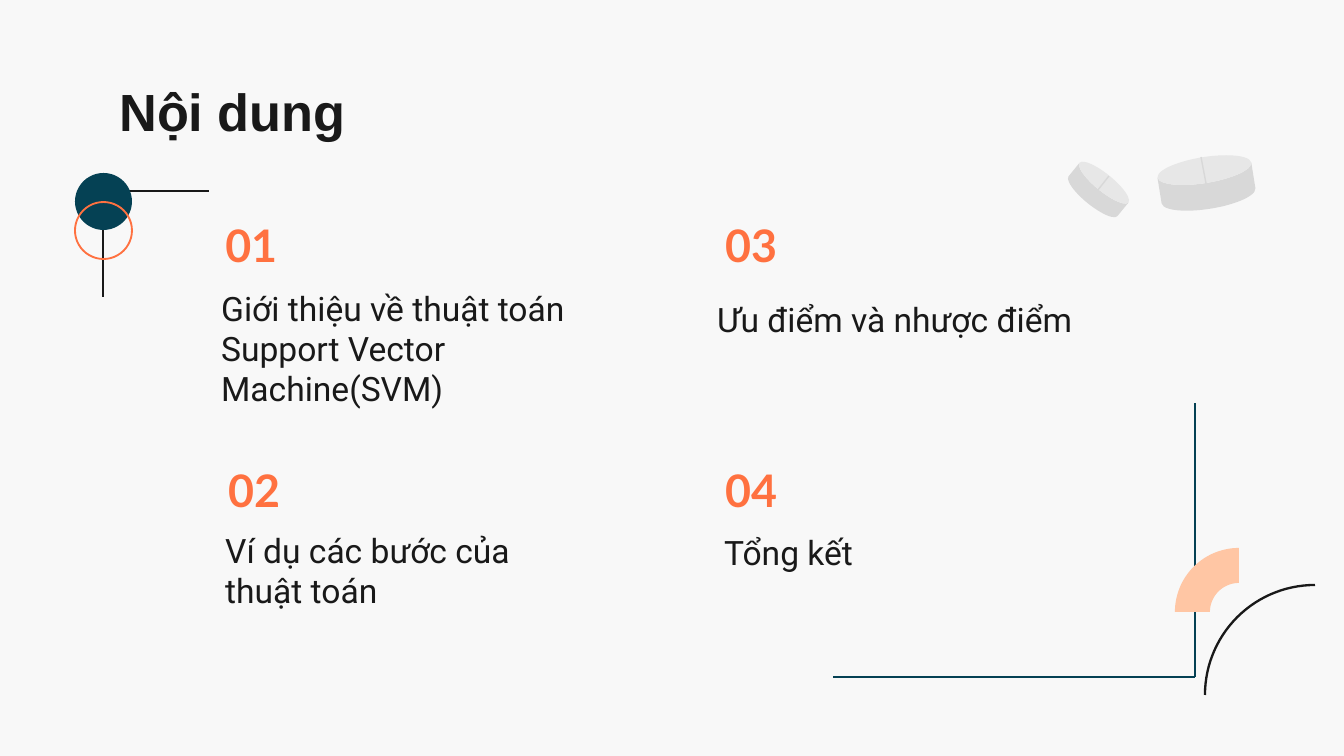
from math import cos, radians, sin

from pptx import Presentation
from pptx.dml.color import RGBColor
from pptx.enum.shapes import MSO_CONNECTOR, MSO_SHAPE
from pptx.enum.text import MSO_ANCHOR, MSO_AUTO_SIZE, PP_ALIGN
from pptx.oxml.ns import qn
from pptx.util import Inches, Pt
from lxml import etree

STRAIGHT = MSO_CONNECTOR.STRAIGHT
OVAL, CAN = MSO_SHAPE.OVAL, MSO_SHAPE.CAN
TOP, MIDDLE = MSO_ANCHOR.TOP, MSO_ANCHOR.MIDDLE

PAPER = RGBColor(0xF8, 0xF8, 0xF8)
INK = RGBColor(0x19, 0x19, 0x19)
TEAL = RGBColor(0x05, 0x41, 0x54)
ORANGE = RGBColor(0xFF, 0x71, 0x40)
PEACH = RGBColor(0xFF, 0xC6, 0xA4)
GREY = RGBColor(0xD8, 0xD8, 0xD8)

SLIDE_WIDTH, SLIDE_HEIGHT = 1344, 756
SCALE = Inches(10) / SLIDE_WIDTH

TITLE = "Nội dung"
TITLE_BOX = (106, 66, 1133, 85)
TITLE_FORMAT = {"name": "Arial", "size": Pt(28), "bold": True}
NUMBER_FORMAT = {"name": "Lato", "size": Pt(24), "bold": True}
TOPIC_FORMAT = {"name": "Roboto", "size": Pt(18), "bold": False}
NUMBER_SIZE = (108, 66)
TOPIC_SIZE = (387, 124)
TOPICS = [
    ("01", (212, 212), "Giới thiệu về thuật toán Support Vector Machine(SVM)", (208, 274)),
    ("02", (215, 457), "Ví dụ các bước của thuật toán", (212, 516)),
    ("03", (712, 212), "Ưu điểm và nhược điểm", (704, 285)),
    ("04", (712, 457), "Tổng kết", (711, 519)),
]
CORNER_LINES = [
    ((103, 191), (209, 191), INK),
    ((103, 191), (103, 297), INK),
    ((1195, 677), (833, 677), TEAL),
    ((1195, 677), (1195, 403), TEAL),
]
CIRCLES = [((75, 173, 57, 57), TEAL, None), ((75, 202, 57, 57), None, ORANGE)]
PILLS = [
    ((1159, 157, 95, 52), 350.9, (1206, 183), (1201, 157)),
    ((1067, 172, 63, 35), 39.1, (1098, 190), (1109, 176)),
]
RING_CENTER, RING_OUTER, RING_INNER = (1239, 612), 64, 29
ARC_CENTER, ARC_RADIUS = (1315, 695), 110


def emu(*lengths):
    return [round(length * SCALE) for length in lengths]


def write_text(shape, text, font_format, color, anchor):
    frame = shape.text_frame
    frame.text = text
    frame_format = {
        "word_wrap": True, "auto_size": MSO_AUTO_SIZE.NONE, "vertical_anchor": anchor,
        **{f"margin_{side}": Inches(0.1) for side in ("left", "top", "right", "bottom")},
    }
    for name, value in frame_format.items():
        setattr(frame, name, value)
    paragraph = frame.paragraphs[0]
    paragraph.alignment = PP_ALIGN.LEFT
    font = paragraph.runs[0].font
    for name, value in font_format.items():
        setattr(font, name, value)
    font.color.rgb = color


def add_text(slide, position, size, *text_format):
    write_text(slide.shapes.add_textbox(*emu(*position, *size)), *text_format)


def paint(shape, fill=None, line=None, width=1):
    shape.shadow.inherit = False
    for part, color in ((shape.fill, fill), (shape.line.fill, line)):
        if color is None:
            part.background()
        else:
            part.solid()
            part.fore_color.rgb = color
    if line is not None:
        shape.line.width = Pt(width)


def add_line(slide, start, end, color):
    line = slide.shapes.add_connector(STRAIGHT, *emu(*start, *end))
    line.line.color.rgb = color
    line.line.width = Pt(0.75)
    etree.SubElement(line._element.spPr, qn("a:effectLst"))


def quarter_points(center, radius):
    return [
        (center[0] + radius * cos(radians(angle)), center[1] + radius * sin(radians(angle)))
        for angle in range(180, 271, 3)
    ]


def add_outline(slide, points, closed):
    start, *others = [emu(*point) for point in points]
    builder = slide.shapes.build_freeform(*start)
    builder.add_line_segments(others, close=closed)
    return builder.convert_to_shape()


def main():
    presentation = Presentation()
    presentation.slide_width, presentation.slide_height = emu(SLIDE_WIDTH, SLIDE_HEIGHT)
    slide = presentation.slides.add_slide(presentation.slide_layouts[5])
    slide.background.fill.solid()
    slide.background.fill.fore_color.rgb = PAPER

    title = slide.shapes.title
    title.left, title.top, title.width, title.height = emu(*TITLE_BOX)
    write_text(title, TITLE, TITLE_FORMAT, INK, TOP)

    for line in CORNER_LINES:
        add_line(slide, *line)
    for box, fill, line in CIRCLES:
        paint(slide.shapes.add_shape(OVAL, *emu(*box)), fill, line)

    paint(add_outline(slide, quarter_points(ARC_CENTER, ARC_RADIUS), False), line=INK, width=1.25)
    ring = quarter_points(RING_CENTER, RING_OUTER) + quarter_points(RING_CENTER, RING_INNER)[::-1]
    paint(add_outline(slide, ring, True), fill=PEACH)

    for box, rotation, start, end in PILLS:
        pill = slide.shapes.add_shape(CAN, *emu(*box))
        pill.adjustments[0] = 0.67
        pill.rotation = rotation
        paint(pill, fill=GREY)
        add_line(slide, start, end, GREY)

    for number, number_position, topic, topic_position in TOPICS:
        add_text(slide, number_position, NUMBER_SIZE, number, NUMBER_FORMAT, ORANGE, MIDDLE)
        add_text(slide, topic_position, TOPIC_SIZE, topic, TOPIC_FORMAT, INK, TOP)

    presentation.save("out.pptx")


if __name__ == "__main__":
    main()
